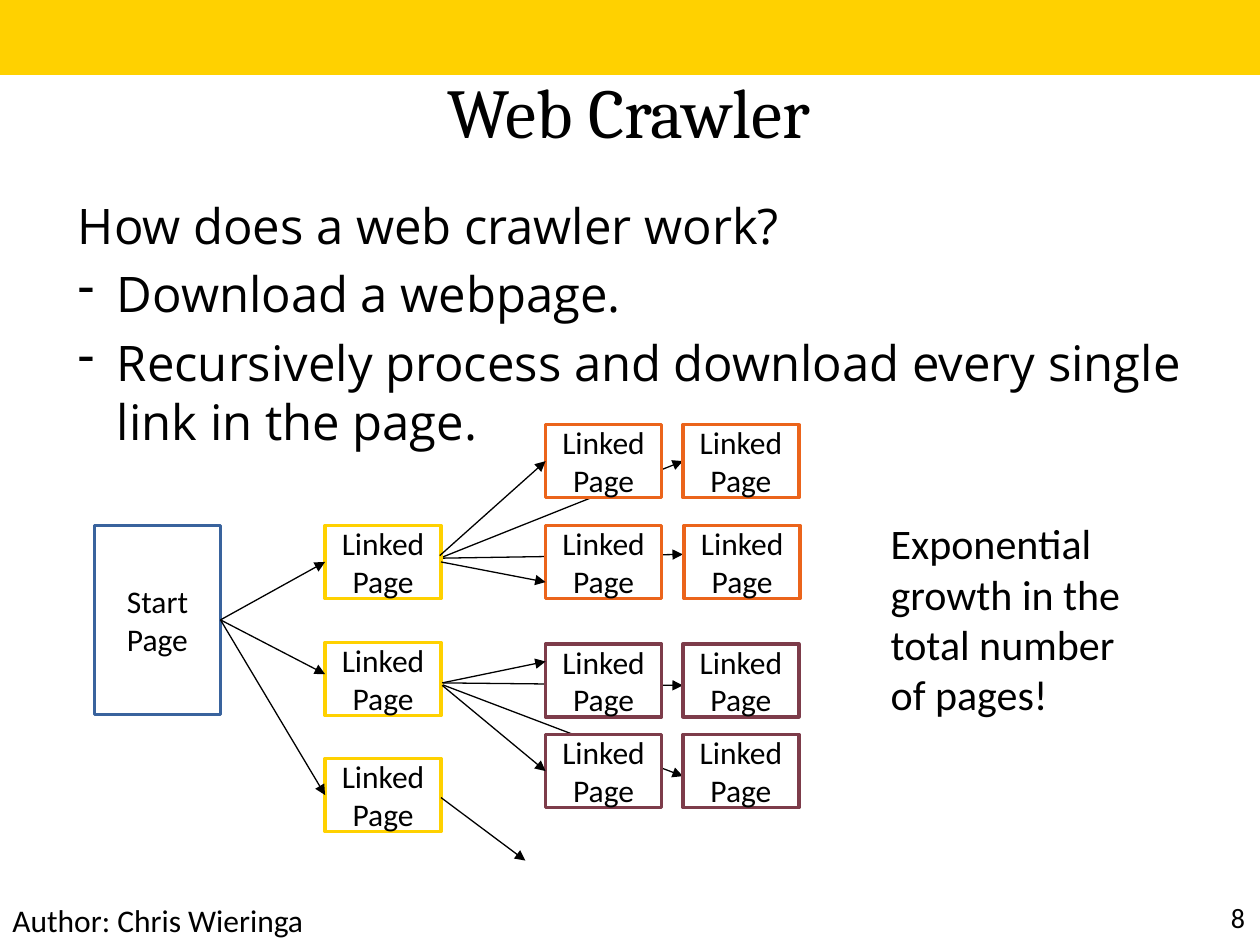
from dataclasses import dataclass

from lxml import etree
from pptx import Presentation
from pptx.dml.color import RGBColor
from pptx.enum.shapes import MSO_CONNECTOR, MSO_SHAPE
from pptx.enum.text import MSO_ANCHOR, MSO_AUTO_SIZE, PP_ALIGN
from pptx.oxml.ns import qn
from pptx.util import Inches, Pt

RECTANGLE = MSO_SHAPE.RECTANGLE
STRAIGHT = MSO_CONNECTOR.STRAIGHT
LEFT, CENTER, RIGHT = PP_ALIGN.LEFT, PP_ALIGN.CENTER, PP_ALIGN.RIGHT
TOP, MIDDLE = MSO_ANCHOR.TOP, MSO_ANCHOR.MIDDLE
LEFT_SIDE, RIGHT_SIDE = 1, 3


@dataclass(frozen=True)
class Theme:
    black: RGBColor = RGBColor.from_string("000000")
    white: RGBColor = RGBColor.from_string("FFFFFF")
    yellow: RGBColor = RGBColor.from_string("FFD100")
    blue: RGBColor = RGBColor.from_string("39639D")
    orange: RGBColor = RGBColor.from_string("EB641B")
    plum: RGBColor = RGBColor.from_string("7D3C4A")
    title_font: str = "Cambria"
    body_font: str = "Open Sans"
    label_font: str = "Calibri"
    title_size: Pt = Pt(40)
    body_size: Pt = Pt(28)
    remark_size: Pt = Pt(24)
    label_size: Pt = Pt(18)
    number_size: Pt = Pt(16)


theme = Theme()
deck = Presentation()
deck.slide_width, deck.slide_height = Inches(10), Inches(7.5)
page = deck.slides.add_slide(deck.slide_layouts[6])


def write(box, lines, font, size, align=LEFT, anchor=TOP):
    """Fill the box with one paragraph per line, all in one style."""
    frame = box.text_frame
    frame.word_wrap = True
    frame.vertical_anchor = anchor
    frame.text = "\n".join(lines)
    for para in frame.paragraphs:
        para.alignment = align
        para.font.name, para.font.size = font, size
        para.font.color.rgb = theme.black
    return frame


def add_arrow(start, end):
    arrow = page.shapes.add_connector(STRAIGHT, *map(Inches, start + end))
    arrow.line.color.rgb = theme.black
    arrow.line.width = Pt(0.75)
    etree.SubElement(arrow.line._get_or_add_ln(), qn("a:tailEnd"), type="triangle")
    etree.SubElement(arrow._element.spPr, qn("a:effectLst"))
    return arrow


# Top band
band = page.shapes.add_shape(RECTANGLE, 0, 0, Inches(10), Inches(0.58))
band.shadow.inherit = False
band.fill.solid()
band.fill.fore_color.rgb = band.line.color.rgb = theme.yellow
band.line.width = Pt(2)

# Arrows that pass behind the page boxes
add_arrow((3.5, 5.43), (5.42, 6.16))
add_arrow((3.5, 5.42), (5.42, 5.44))
add_arrow((3.5, 4.43), (5.42, 4.4))
arrow_to_top_right = add_arrow((3.49, 4.43), (5.42, 3.66))

# Title, footer and body text
for text, place, font, size, align, anchor in (
    ("Web Crawler", (0, 0.67, 9.98, 0.42), theme.title_font, theme.title_size, CENTER, MIDDLE),
    ("Author: Chris Wieringa", (0, 7.1, 2.92, 0.4), theme.label_font, theme.label_size, LEFT, TOP),
    ("8", (7.65, 7.1, 2.33, 0.4), theme.label_font, theme.number_size, RIGHT, TOP),
):
    box = page.shapes.add_textbox(*map(Inches, place))
    write(box, [text], font, size, align, anchor)

body = page.shapes.add_textbox(Inches(0.02), Inches(1.5), Inches(9.98), Inches(4.33))
body_lines = [
    "How does a web crawler work?",
    "Download a webpage.",
    "Recursively process and download every single link in the page.",
]
question, *steps = write(body, body_lines, theme.body_font, theme.body_size).paragraphs
question._p.get_or_add_pPr().set("marL", str(Inches(0.5)))
for step in steps:
    step.space_before = Pt(5.6)
    properties = step._p.get_or_add_pPr()
    properties.set("marL", str(Inches(0.81)))
    properties.set("indent", str(Inches(-0.31)))
    bullet = etree.Element(qn("a:buChar"), char="-")
    properties.find(qn("a:defRPr")).addprevious(bullet)

# Page boxes: key, (label, width, height), left, top, line colour
linked = ("Linked Page", 0.92, 0.58)
boxes = {}
for key, (label, width, height), left, top, color in (
    ("start", ("Start Page", 1, 1.5), 0.75, 4.17, theme.blue),
    ("first link", linked, 2.58, 4.17, theme.yellow),
    ("second link", linked, 2.58, 5.1, theme.yellow),
    ("third link", linked, 2.58, 6.02, theme.yellow),
    ("orange top left", linked, 4.33, 3.37, theme.orange),
    ("orange low left", linked, 4.33, 4.17, theme.orange),
    ("orange top right", linked, 5.42, 3.37, theme.orange),
    ("orange low right", linked, 5.43, 4.17, theme.orange),
    ("plum top left", linked, 4.33, 5.11, theme.plum),
    ("plum top right", linked, 5.42, 5.11, theme.plum),
    ("plum low left", linked, 4.33, 5.83, theme.plum),
    ("plum low right", linked, 5.42, 5.83, theme.plum),
):
    box = page.shapes.add_shape(RECTANGLE, *map(Inches, (left, top, width, height)))
    box.shadow.inherit = False
    box.fill.solid()
    box.fill.fore_color.rgb = theme.white
    box.line.color.rgb = color
    box.line.width = Pt(2)
    write(box, [label], theme.label_font, theme.label_size, CENTER, MIDDLE)
    boxes[key] = box

# Arrows in front, joined where they meet the middle of a side
arrow_to_top_right.end_connect(boxes["orange top right"], LEFT_SIDE)
for start, end, source, target in (
    ((1.75, 4.92), (2.58, 4.46), "start", "first link"),
    ((1.75, 4.92), (2.58, 5.35), "start", None),
    ((1.75, 4.92), (2.58, 6.31), "start", "third link"),
    ((3.49, 4.41), (4.33, 3.66), None, "orange top left"),
    ((3.5, 4.46), (4.33, 4.62), "first link", None),
    ((3.51, 5.42), (4.33, 5.25), None, None),
    ((3.51, 5.44), (4.33, 6.12), None, "plum low left"),
    ((3.5, 6.33), (4.17, 6.83), None, None),
):
    arrow = add_arrow(start, end)
    if source:
        arrow.begin_connect(boxes[source], RIGHT_SIDE)
    if target:
        arrow.end_connect(boxes[target], LEFT_SIDE)

# Remark beside the tree
remark = page.shapes.add_textbox(Inches(6.97), Inches(4.06), Inches(2.11), Inches(1.72))
remark_text = "Exponential growth in the total number of pages!"
remark_frame = write(remark, [remark_text], theme.label_font, theme.remark_size)
remark_frame.auto_size = MSO_AUTO_SIZE.SHAPE_TO_FIT_TEXT

deck.save("out.pptx")
